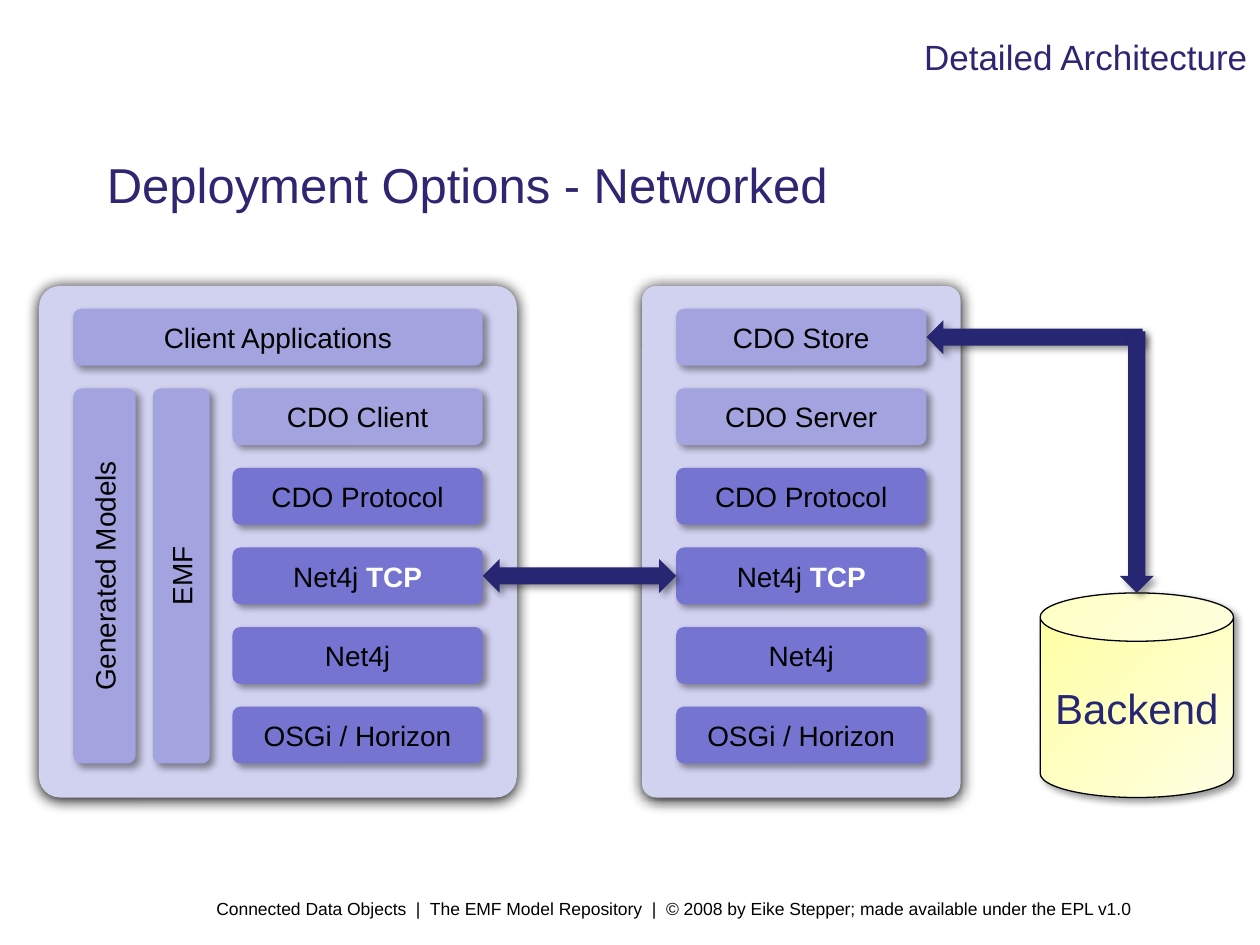
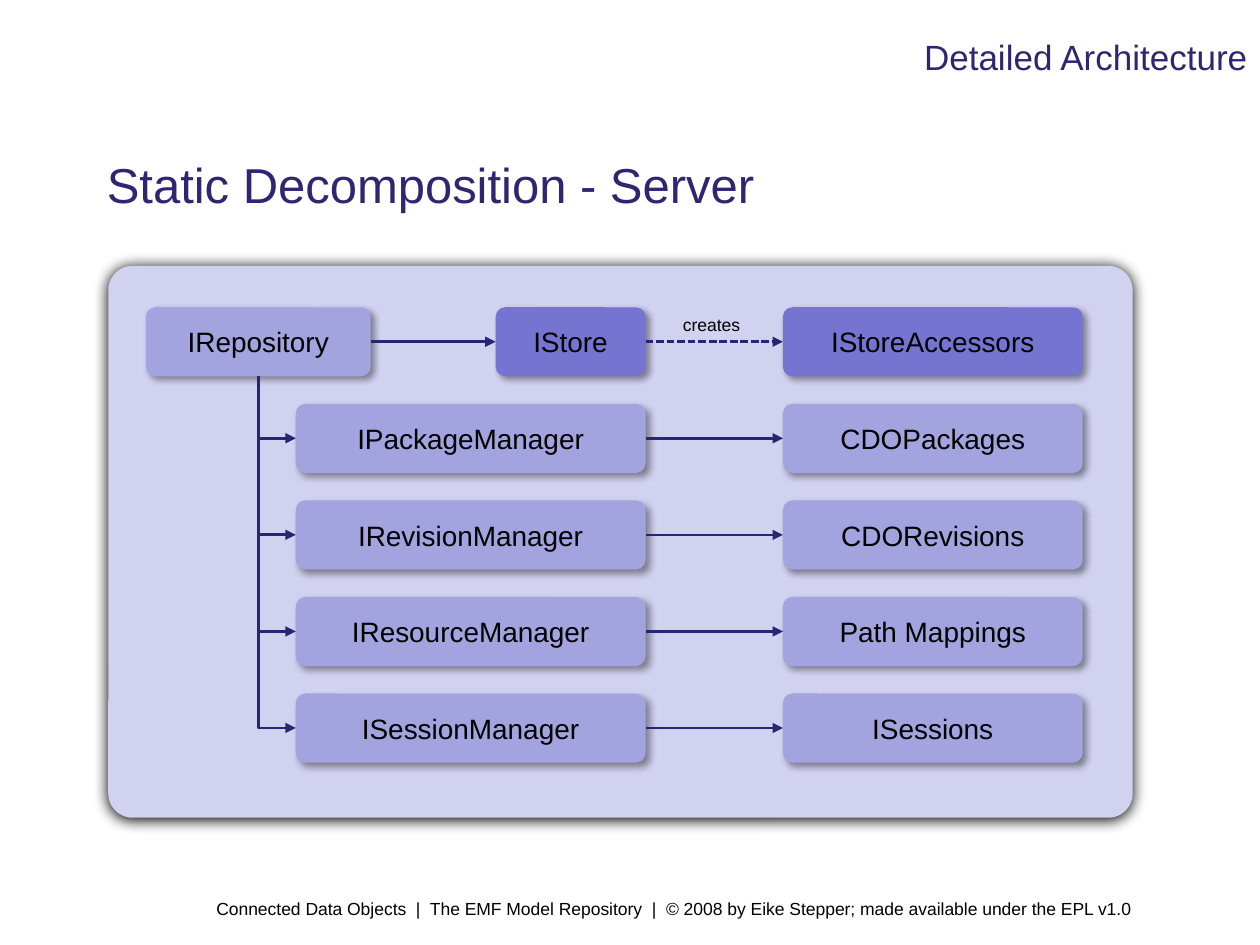
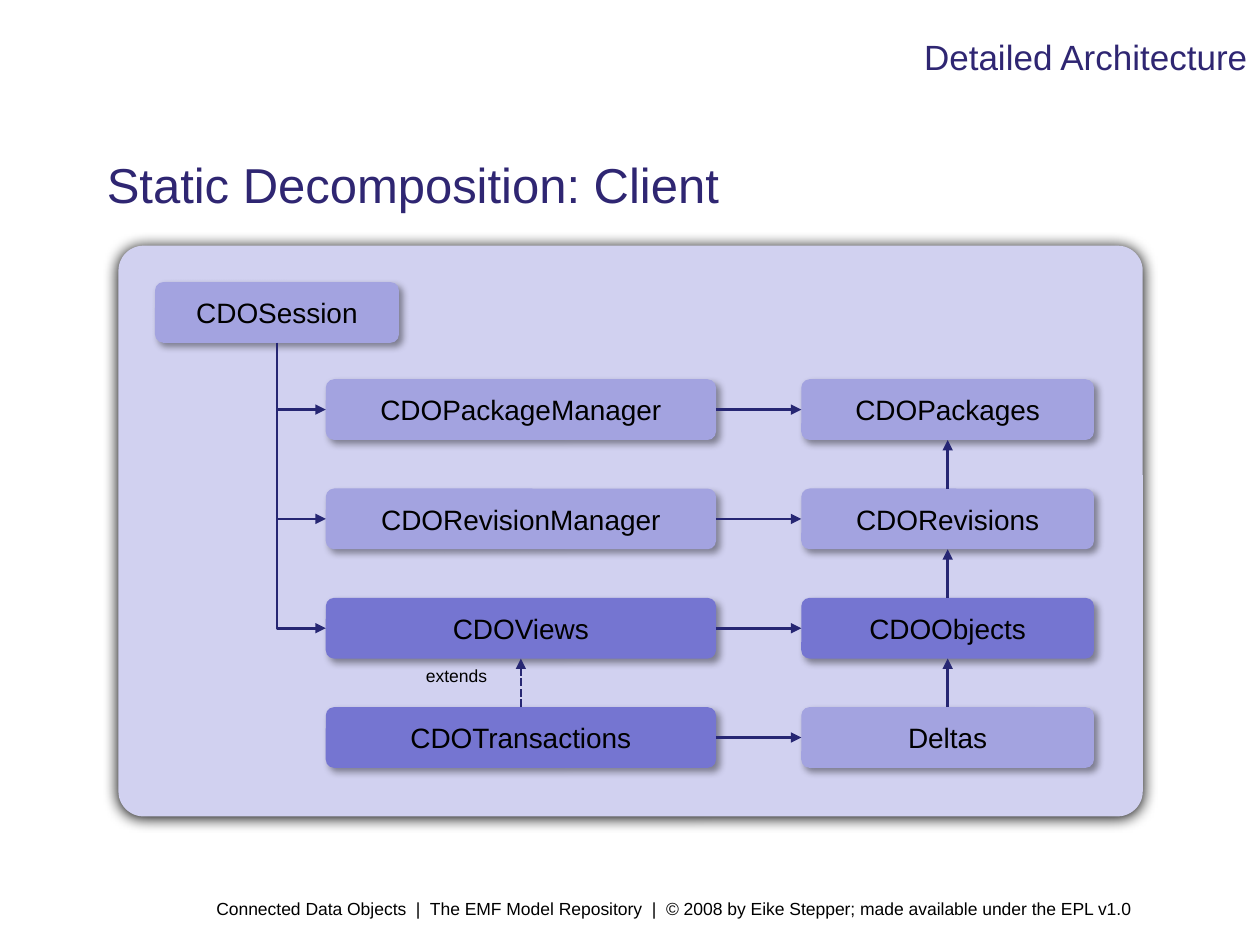
from dataclasses import dataclass

from lxml import etree
from pptx import Presentation
from pptx.dml.color import RGBColor
from pptx.enum import dml, shapes, text
from pptx.oxml.ns import qn
from pptx.util import Inches, Pt

FONT = "Arial"
TITLE, NAVY, BLACK, WHITE = "2F2672", "262673", "000000", "FFFFFF"
PALE, LIGHT, STRONG = "D1D1F0", "A3A3E0", "7575D1"
CREAM = ("FFFFA0", "FFFFE3")
# Shadows: opacity in percent, blur and distance in points, direction in degrees
PANEL_SHADOW = (100, 8.5, 1, 90)
NODE_SHADOW = (40, 4, 3, 45)
TOP, LEFT, BOTTOM, RIGHT = range(4)
KIND = shapes.MSO_SHAPE
ALIGN = text.PP_ALIGN
MIDDLE = text.MSO_ANCHOR.MIDDLE
FOOTER = (" Connected Data Objects  |  The EMF Model Repository  |  "
          "© 2008 by Eike Stepper; made available under the EPL v1.0")


@dataclass
class Grid:
    """A box in inches, divided into equal columns and rows."""
    left: float
    top: float
    width: float
    height: float
    columns: float
    rows: float

    def cell(self, column, row, wide, high):
        step_x, step_y = self.width / self.columns, self.height / self.rows
        return [Inches(length) for length in (
            self.left + column * step_x, self.top + row * step_y,
            wide * step_x, high * step_y)]

    def whole(self):
        return self.cell(0, 0, self.columns, self.rows)


PAGE = Grid(0, 0, 10, 7.5, 100, 100)


def colour(value):
    return RGBColor.from_string(value)


def format_span(span, size, ink, bold=None):
    span.font.name, span.font.size, span.font.bold = FONT, Pt(size), bold
    span.font.color.rgb = colour(ink)


def write(shape, words, size, ink, align=ALIGN.LEFT):
    para = shape.text_frame.paragraphs[0]
    para.text = words
    para.alignment = align
    format_span(para.runs[0], size, ink)
    return para


def add_label(page, cell, words, size, ink, align=ALIGN.LEFT, anchor=MIDDLE, wrap=True):
    box = page.shapes.add_textbox(*cell)
    box.text_frame.word_wrap = wrap
    box.text_frame.vertical_anchor = anchor
    write(box, words, size, ink, align)


def add_shadow(shape, opacity, blur, distance, direction):
    shape.shadow.inherit = False
    effects = shape.element.spPr.find(qn("a:effectLst"))
    shadow = etree.SubElement(
        effects, qn("a:outerShdw"), blurRad=str(Pt(blur)), dist=str(Pt(distance)),
        dir=str(direction * 60000), algn="ctr", rotWithShape="0")
    tint = etree.SubElement(shadow, qn("a:srgbClr"), val=BLACK)
    etree.SubElement(tint, qn("a:alpha"), val=str(opacity * 1000))


def add_block(page, kind, cell, fill, shadow=NODE_SHADOW):
    block = page.shapes.add_shape(kind, *cell)
    block.fill.solid()
    block.fill.fore_color.rgb = colour(fill)
    block.line.fill.background()
    add_shadow(block, *shadow)
    return block


def add_panel(page, cell):
    panel = add_block(page, KIND.ROUNDED_RECTANGLE, cell, PALE, PANEL_SHADOW)
    panel.adjustments[0] = 0.044


def add_node(page, cell, words, fill=LIGHT, accent=None, upright=False):
    left, top, width, height = cell
    if upright:  # swap the sides about the centre, then turn
        shift = (width - height) // 2
        cell = left + shift, top - shift, height, width
    node = add_block(page, KIND.ROUNDED_RECTANGLE, cell, fill)
    node.adjustments[0] = 0.138
    node.rotation = 270 if upright else 0
    node.text_frame.vertical_anchor = MIDDLE
    para = write(node, words, 16, BLACK, ALIGN.CENTER)
    if accent:
        span = para.add_run()
        span.text = accent
        format_span(span, 16, WHITE, bold=True)
    return node


def link(page, start, start_side, end, end_side, dashed=False, bent=False):
    kind = shapes.MSO_CONNECTOR.ELBOW if bent else shapes.MSO_CONNECTOR.STRAIGHT
    line = page.shapes.add_connector(kind, 0, 0, 0, 0)
    line.begin_connect(start, start_side)
    line.end_connect(end, end_side)
    line.line.color.rgb = colour(NAVY)
    line.line.width = Pt(1.5)
    if dashed:
        line.line.dash_style = dml.MSO_LINE.SQUARE_DOT
    outline = line.element.spPr
    etree.SubElement(outline.find(qn("a:ln")), qn("a:tailEnd"), type="triangle")
    etree.SubElement(outline, qn("a:effectLst"))
    return line


def branch(page, parent, child):
    """Arrow that drops from the parent and turns right into the child."""
    line = link(page, parent, BOTTOM, child, LEFT, bent=True)
    x, y = parent.left + parent.width // 2, parent.top + parent.height
    across, down = child.left - x, child.top + child.height // 2 - y
    line.left, line.top = x + (across - down) // 2, y + (down - across) // 2
    line.width, line.height = down, across
    outline = line.element.spPr
    outline.find(qn("a:prstGeom")).set("prst", "bentConnector2")
    frame = outline.find(qn("a:xfrm"))
    frame.attrib.pop("flipV", None)
    frame.set("rot", str(270 * 60000))
    frame.set("flipH", "1")


def add_page(deck, title):
    page = deck.slides.add_slide(deck.slide_layouts[6])
    add_label(page, PAGE.cell(15.8, 94.4, 84.2, 3.6), FOOTER, 10, BLACK,
              anchor=text.MSO_ANCHOR.TOP)
    add_label(page, PAGE.cell(7.5, 15.6, 85, 7.73), title, 28, TITLE)
    add_label(page, PAGE.cell(38.3, 2.13, 61.7, 7.73), "Detailed Architecture", 20,
              TITLE, ALIGN.RIGHT)
    return page


# Networked deployment
def add_stack(page, grid, column, side):
    layers = [(f"CDO {side}", LIGHT, None), ("CDO Protocol", STRONG, None),
              ("Net4j ", STRONG, "TCP"), ("Net4j", STRONG, None),
              ("OSGi / Horizon", STRONG, None)]
    for index, (words, fill, accent) in enumerate(layers):
        add_node(page, grid.cell(column, 9 + 7 * index, 22, 5), words, fill, accent)


def add_backend(page, cell):
    can = add_block(page, KIND.CAN, cell, CREAM[0])
    can.fill.gradient()
    can.fill.gradient_angle = 315
    for stop, tint in zip(can.fill.gradient_stops, CREAM):
        stop.color.rgb = colour(tint)
    can.line.color.rgb = colour(BLACK)
    can.line.width = Pt(0.75)
    frame = can.text_frame
    frame.vertical_anchor = MIDDLE
    write(can, "Backend", 24, NAVY, ALIGN.CENTER)


def draw_deployment(page, grid):
    # Client
    add_panel(page, grid.cell(0, 0, 42, 45))
    add_node(page, grid.cell(3, 2, 36, 5), "Client Applications")
    add_node(page, grid.cell(3, 9, 5.5, 33), "Generated Models", upright=True)
    add_node(page, grid.cell(10, 9, 5, 33), "EMF", upright=True)
    add_stack(page, grid, 17, "Client")
    # Server
    add_panel(page, grid.cell(53, 0, 28, 45))
    add_node(page, grid.cell(56, 2, 22, 5), "CDO Store")
    add_stack(page, grid, 56, "Server")
    # Backend and arrows
    add_block(page, KIND.LEFT_RIGHT_ARROW, grid.cell(39, 24, 17, 3), NAVY)
    add_backend(page, grid.cell(88, 27, 17, 18))
    add_block(page, KIND.LEFT_ARROW, grid.cell(78, 3, 19, 3), NAVY)
    add_block(page, KIND.DOWN_ARROW, grid.cell(95, 4, 3, 23), NAVY)


# Static decomposition
def add_pairs(page, grid, pairs, left, right, first, pitch):
    """Rows of two linked nodes; left and right give column and width."""
    rows = []
    for index, pair in enumerate(pairs):
        row = first + pitch * index
        nodes = [add_node(page, grid.cell(column, row, wide, 5), words, fill)
                 for (column, wide), (words, fill) in zip((left, right), pair)]
        link(page, nodes[0], RIGHT, nodes[1], LEFT)
        rows.append(nodes)
    return rows


def draw_server(page, grid):
    add_panel(page, grid.whole())
    # Repository and its store
    repository = add_node(page, grid.cell(3, 3, 18, 5), "IRepository")
    store = add_node(page, grid.cell(31, 3, 12, 5), "IStore", STRONG)
    accessors = add_node(page, grid.cell(54, 3, 24, 5), "IStoreAccessors", STRONG)
    link(page, repository, RIGHT, store, LEFT)
    link(page, store, RIGHT, accessors, LEFT, dashed=True)
    add_label(page, grid.cell(45, 2.5, 8.5, 3.5), "creates", 10, BLACK, wrap=False)
    # Managers and what they manage
    names = [("IPackageManager", "CDOPackages"), ("IRevisionManager", "CDORevisions"),
             ("IResourceManager", "Path Mappings"), ("ISessionManager", "ISessions")]
    pairs = [[(name, LIGHT) for name in pair] for pair in names]
    for manager, _ in add_pairs(page, grid, pairs, (15, 28), (54, 24), 10, 7):
        branch(page, repository, manager)


def draw_client(page, grid):
    add_panel(page, grid.whole())
    session = add_node(page, grid.cell(3, 3, 20, 5), "CDOSession")
    pairs = [(("CDOPackageManager", LIGHT), ("CDOPackages", LIGHT)),
             (("CDORevisionManager", LIGHT), ("CDORevisions", LIGHT)),
             (("CDOViews", STRONG), ("CDOObjects", STRONG)),
             (("CDOTransactions", STRONG), ("Deltas", LIGHT))]
    rows = add_pairs(page, grid, pairs, (17, 32), (56, 24), 11, 9)
    *owned, (views, _), (transactions, _) = rows
    for child in [manager for manager, _ in owned] + [views]:
        branch(page, session, child)
    # Upward links
    for (_, upper), (_, lower) in zip(rows, rows[1:]):
        link(page, lower, TOP, upper, BOTTOM)
    link(page, transactions, TOP, views, BOTTOM, dashed=True)
    add_label(page, grid.cell(24.2, 34, 8, 2.8), "extends", 10, BLACK, wrap=False)


def main():
    deck = Presentation()
    deck.slide_width, deck.slide_height = Inches(10), Inches(7.5)
    draw_deployment(add_page(deck, "Deployment Options - Networked"),
                    Grid(0.31, 2.27, 9.48, 4.06, 105, 45))
    draw_server(add_page(deck, "Static Decomposition - Server"),
                Grid(0.86, 2.11, 8.13, 4.38, 82, 40))
    draw_client(add_page(deck, "Static Decomposition: Client"),
                Grid(0.94, 1.95, 8.13, 4.53, 84, 47))
    deck.save("out.pptx")


if __name__ == "__main__":
    main()
